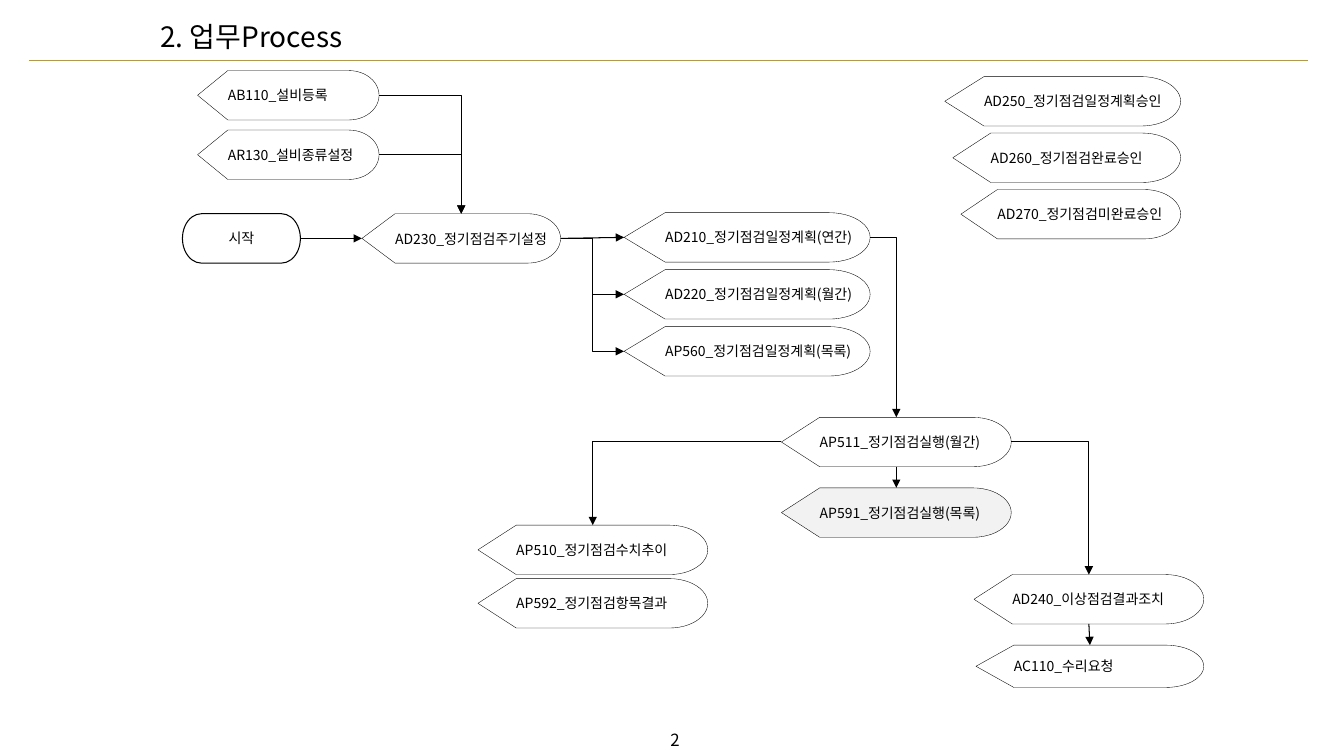
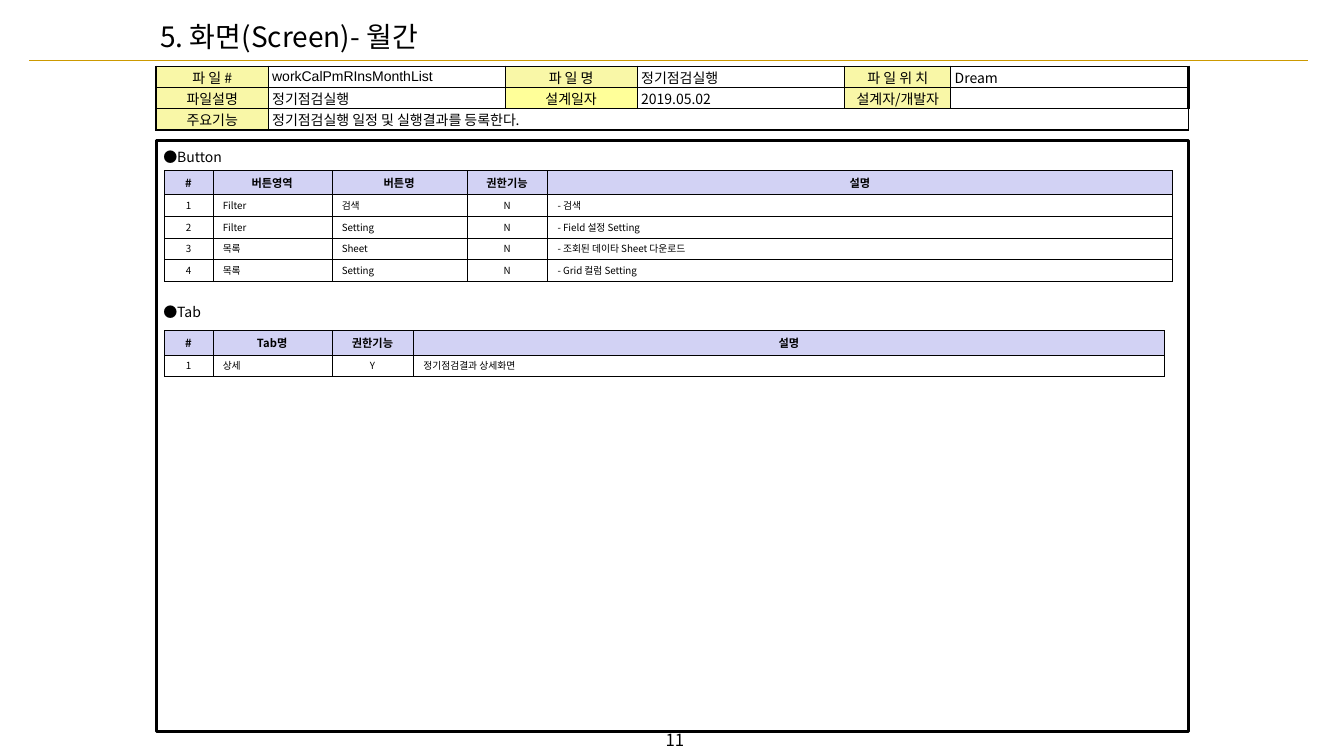
from lxml import etree
from pptx import Presentation
from pptx.dml.color import RGBColor
from pptx.enum.shapes import MSO_CONNECTOR, MSO_SHAPE
from pptx.enum.text import MSO_ANCHOR, MSO_AUTO_SIZE, PP_ALIGN
from pptx.oxml.ns import qn
from pptx.util import Inches, Pt

LEFT, CENTER = PP_ALIGN.LEFT, PP_ALIGN.CENTER
TOP_ANCHOR, MIDDLE = MSO_ANCHOR.TOP, MSO_ANCHOR.MIDDLE
DISPLAY, TERMINATOR = MSO_SHAPE.FLOWCHART_DISPLAY, MSO_SHAPE.FLOWCHART_TERMINATOR
RECTANGLE = MSO_SHAPE.RECTANGLE
STRAIGHT, ELBOW = MSO_CONNECTOR.STRAIGHT, MSO_CONNECTOR.ELBOW

# Shared look
FONT = "Noto Sans CJK KR"
BLACK, WHITE, GOLD, GRAY = "000000", "FFFFFF", "CC9900", "F2F2F2"
LILAC, CREAM, YELLOW = "D2D2F4", "F9F7A7", "FFFF99"
SLIDE_WIDTH, SLIDE_HEIGHT = 13.33, 7.5

# Process slide: stacks of steps (labels, left, top, width, pitch, height, indent per row)
STEP_HEIGHT = 0.49
STACKS = [
    (["AB110_설비등록", "AR130_설비종류설정"], 1.96, 0.7, 1.8, 0.59, STEP_HEIGHT, 0),
    (["AD230_정기점검주기설정"], 3.59, 2.12, 1.97, 0, STEP_HEIGHT, 0),
    (["AD210_정기점검일정계획(연간)", "AD220_정기점검일정계획(월간)",
      "AP560_정기점검일정계획(목록)"], 6.19, 2.11, 2.44, 0.565, STEP_HEIGHT, 0),
    (["AD250_정기점검일정계획승인", "AD260_정기점검완료승인",
      "AD270_정기점검미완료승인"], 9.37, 0.76, 2.34, 0.56, STEP_HEIGHT, 0.08),
    (["AP511_정기점검실행(월간)", "AP591_정기점검실행(목록)"],
     7.75, 4.14, 2.28, 0.7, STEP_HEIGHT, 0),
    (["AP510_정기점검수치추이", "AP592_정기점검항목결과"],
     4.74, 5.21, 2.28, 0.53, STEP_HEIGHT, 0),
    (["AD240_이상점검결과조치"], 9.66, 5.7, 2.28, 0, STEP_HEIGHT, 0),
    (["AC110_수리요청"], 9.68, 6.4, 2.26, 0, 0.42, 0),
]
START = "시작"
SHADED_STEP = "AP591"

# Connection sites and routes between steps
SITE_TOP, SITE_LEFT, SITE_BOTTOM, SITE_RIGHT = range(4)
ONE_BEND, TWO_BENDS = "bentConnector2", "bentConnector3"
FLOWS = [
    (START, SITE_RIGHT, "AD230", SITE_LEFT, None),
    ("AB110", SITE_RIGHT, "AD230", SITE_TOP, ONE_BEND),
    ("AR130", SITE_RIGHT, "AD230", SITE_TOP, ONE_BEND),
    ("AD230", SITE_RIGHT, "AD210", SITE_LEFT, None),
    ("AD230", SITE_RIGHT, "AD220", SITE_LEFT, TWO_BENDS),
    ("AD230", SITE_RIGHT, "AP560", SITE_LEFT, TWO_BENDS),
    ("AD210", SITE_RIGHT, "AP511", SITE_TOP, ONE_BEND),
    ("AP511", SITE_BOTTOM, "AP591", SITE_TOP, None),
    ("AP511", SITE_LEFT, "AP510", SITE_TOP, ONE_BEND),
    ("AP511", SITE_RIGHT, "AD240", SITE_TOP, ONE_BEND),
    ("AD240", SITE_BOTTOM, "AC110", SITE_TOP, None),
]

# Screen slide: file summary and the two lists
FILE_INFO = [
    ["파 일 #", "workCalPmRInsMonthList", "파 일 명", "정기점검실행", "파 일 위 치", "Dream"],
    ["파일설명", "정기점검실행", "설계일자", "2019.05.02", "설계자/개발자", ""],
    ["주요기능", "정기점검실행 일정 및 실행결과를 등록한다.", "", "", "", ""],
]
FILE_COLUMNS = [1.11, 2.35, 1.31, 2.06, 1.05, 2.36]
SECTIONS = [
    {"heading": "●Button", "heading_top": 1.44, "top": 1.69,
     "columns": [0.48, 1.18, 1.34, 0.8, 6.2], "centered": (0, 3),
     "rows": [["#", "버튼영역", "버튼명", "권한기능", "설명"],
              ["1", "Filter", "검색", "N", "- 검색"],
              ["2", "Filter", "Setting", "N", "- Field 설정 Setting"],
              ["3", "목록", "Sheet", "N", "- 조회된 데이타 Sheet 다운로드"],
              ["4", "목록", "Setting", "N", "- Grid 컬럼 Setting"]]},
    {"heading": "●Tab", "heading_top": 2.98, "top": 3.28,
     "columns": [0.48, 1.18, 0.81, 7.45], "centered": (0, 2),
     "rows": [["#", "Tab명", "권한기능", "설명"],
              ["1", "상세", "Y", "정기점검결과 상세화면"]]},
]


def color(value):
    return RGBColor.from_string(value)


def inches(*values):
    return [Inches(value) for value in values]


def write(frame, text, size, align=LEFT, bold=False, font=FONT):
    """Put one formatted paragraph into a text frame."""
    para = frame.paragraphs[0]
    para.text = text
    para.alignment = align
    para.space_before = Pt(0)
    para.font.size, para.font.bold = Pt(size), bold
    para.font.color.rgb = color(BLACK)
    para.font.name = font
    defaults = para._p.pPr.find(qn("a:defRPr"))
    etree.SubElement(defaults, qn("a:ea")).set("typeface", font)
    if not text:
        etree.SubElement(para._p, qn("a:endParaRPr")).set("sz", str(size * 100))
    return para


def set_frame(frame, margins, anchor, wrap=True):
    (frame.margin_left, frame.margin_top,
     frame.margin_right, frame.margin_bottom) = inches(*margins)
    frame.vertical_anchor = anchor
    frame.word_wrap = wrap


def add_text(page, place, text, size, margins, anchor, align=LEFT):
    box = page.shapes.add_textbox(*inches(*place))
    set_frame(box.text_frame, margins, anchor)
    return write(box.text_frame, text, size, align)


def add_outline(page, preset, place, width, fill=None):
    shape = page.shapes.add_shape(preset, *inches(*place))
    shape.shadow.inherit = False
    shape.line.color.rgb, shape.line.width = color(BLACK), Pt(width)
    if fill:
        shape.fill.solid()
        shape.fill.fore_color.rgb = color(fill)
    else:
        shape.fill.background()
    return shape


def add_line(page, kind, ends, line_color, width):
    line = page.shapes.add_connector(kind, *inches(*ends))
    line.line.color.rgb, line.line.width = color(line_color), Pt(width)
    etree.SubElement(line._element.spPr, qn("a:effectLst"))
    return line


def add_page(deck, title, number):
    """Start a slide with the shared title, rule and page number."""
    page = deck.slides.add_slide(deck.slide_layouts[5])
    heading = page.shapes.title
    heading.left, heading.top, heading.width, heading.height = inches(1.51, 0.11, 10.27, 0.5)
    set_frame(heading.text_frame, [0.08] * 4, TOP_ANCHOR)
    heading.text_frame.auto_size = MSO_AUTO_SIZE.NONE
    write(heading.text_frame, title, 20)
    add_line(page, STRAIGHT, (0.29, 0.6, 12.97, 0.6), GOLD, 1)
    add_text(page, (5.33, 7.19, 2.73, 0.3), number, 12, (0.1, 0.05, 0.1, 0.05), MIDDLE, CENTER)
    return page


def add_step(page, label, place, fill):
    step = add_outline(page, DISPLAY, place, 0.25, fill)
    set_frame(step.text_frame, [0] * 4, MIDDLE, wrap=False)
    properties = write(step.text_frame, label, 10)._p.pPr
    hanging = Inches(0.29)
    properties.set("marL", str(hanging))
    properties.set("indent", str(-hanging))
    return step


def add_flow(page, source, source_site, target, target_site, route):
    arrow = add_line(page, ELBOW if route else STRAIGHT, (0, 0, 1, 1), BLACK, 0.75)
    arrow.begin_connect(source, source_site)
    arrow.end_connect(target, target_site)
    if route:
        arrow._element.spPr.find(qn("a:prstGeom")).set("prst", route)
    outline = arrow._element.spPr.find(qn("a:ln"))
    etree.SubElement(outline, qn("a:tailEnd")).set("type", "triangle")


def set_borders(cell, widths):
    """Draw cell borders; widths are left, right, top, bottom in points."""
    properties = cell._tc.get_or_add_tcPr()
    for side, width in zip("LRTB", widths):
        border = etree.SubElement(properties, qn("a:ln" + side), w=str(Pt(width)))
        fill = etree.SubElement(border, qn("a:solidFill"))
        etree.SubElement(fill, qn("a:srgbClr")).set("val", BLACK)


def add_grid(page, left, top, columns, heights):
    place = inches(left, top, sum(columns), sum(heights))
    table = page.shapes.add_table(len(heights), len(columns), *place).table
    table.first_row = table.horz_banding = False
    for column, width in zip(table.columns, columns):
        column.width = Inches(width)
    for row, height in zip(table.rows, heights):
        row.height = Inches(height)
    return table


def fill_cell(cell, text, size, fill, borders, margins, align, bold=False, font=FONT):
    set_borders(cell, borders)
    cell.fill.solid()
    cell.fill.fore_color.rgb = color(fill)
    cell.vertical_anchor = MIDDLE
    cell.margin_left = cell.margin_right = Inches(margins[0])
    cell.margin_top = cell.margin_bottom = Inches(margins[1])
    write(cell.text_frame, text, size, align, bold, font)


def add_file_info(page):
    table = add_grid(page, 1.55, 0.66, FILE_COLUMNS, [0.21] * 3)
    last_row, last_column = len(FILE_INFO) - 1, len(FILE_COLUMNS) - 1
    for r, row in enumerate(FILE_INFO):
        for c, text in enumerate(row):
            is_label = c % 2 == 0 and text != ""
            fill = YELLOW if text == "설계일자" else CREAM if is_label else WHITE
            borders = (1.5 if c == 0 else 1, 2.25 if c == last_column else 1,
                       1.5 if r == 0 else 1, 2.25 if r == last_row else 1)
            fill_cell(table.cell(r, c), text, 10, fill, borders, (0.04, 0),
                      CENTER if is_label else LEFT,
                      font="Arial" if (r, c) == (0, 1) else FONT)
    table.cell(last_row, 1).merge(table.cell(last_row, last_column))


def add_section(page, section):
    para = add_text(page, (1.62, section["heading_top"], 1.9, 0.23), section["heading"],
                    10, (0, 0.05, 0.02, 0.05), TOP_ANCHOR)
    para.line_spacing = 0.9
    rows = section["rows"]
    heights = [0.24] + [0.215] * (len(rows) - 1)
    table = add_grid(page, 1.63, section["top"], section["columns"], heights)
    for r, row in enumerate(rows):
        header = r == 0
        for c, text in enumerate(row):
            align = CENTER if header or c in section["centered"] else LEFT
            fill_cell(table.cell(r, c), text, 8 if header else 7, LILAC if header else WHITE,
                      [0.25] * 4, (0.1, 0.03), align, header)


def build_process(deck):
    page = add_page(deck, "2. 업무Process", "2")
    start = add_outline(page, TERMINATOR, (1.81, 2.12, 1.17, STEP_HEIGHT), 0.75)
    set_frame(start.text_frame, (0.1, 0.05, 0.1, 0.05), MIDDLE, wrap=False)
    write(start.text_frame, START, 10, CENTER)
    steps = {START: start}
    for labels, left, top, width, pitch, height, indent in STACKS:
        for i, label in enumerate(labels):
            code = label.split("_")[0]
            place = (left + i * indent, top + i * pitch, width - i * indent, height)
            steps[code] = add_step(page, label, place, GRAY if code == SHADED_STEP else None)
    for source, source_site, target, target_site, route in FLOWS:
        add_flow(page, steps[source], source_site, steps[target], target_site, route)


def build_screen(deck):
    page = add_page(deck, "5. 화면(Screen)- 월간", "11")
    add_outline(page, RECTANGLE, (1.55, 1.39, 10.24, 5.87), 2.25)
    add_file_info(page)
    for section in SECTIONS:
        add_section(page, section)


def main():
    deck = Presentation()
    deck.slide_width, deck.slide_height = inches(SLIDE_WIDTH, SLIDE_HEIGHT)
    build_process(deck)
    build_screen(deck)
    deck.save("out.pptx")


if __name__ == "__main__":
    main()
